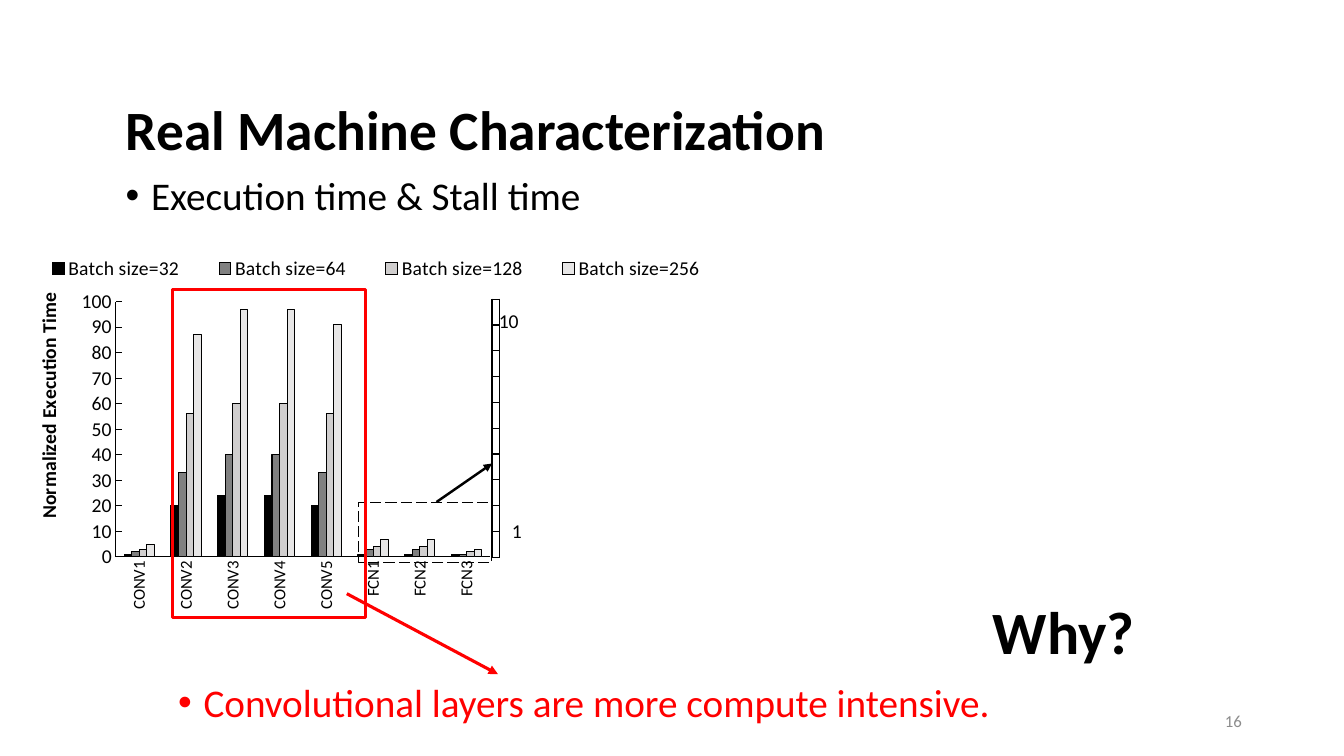
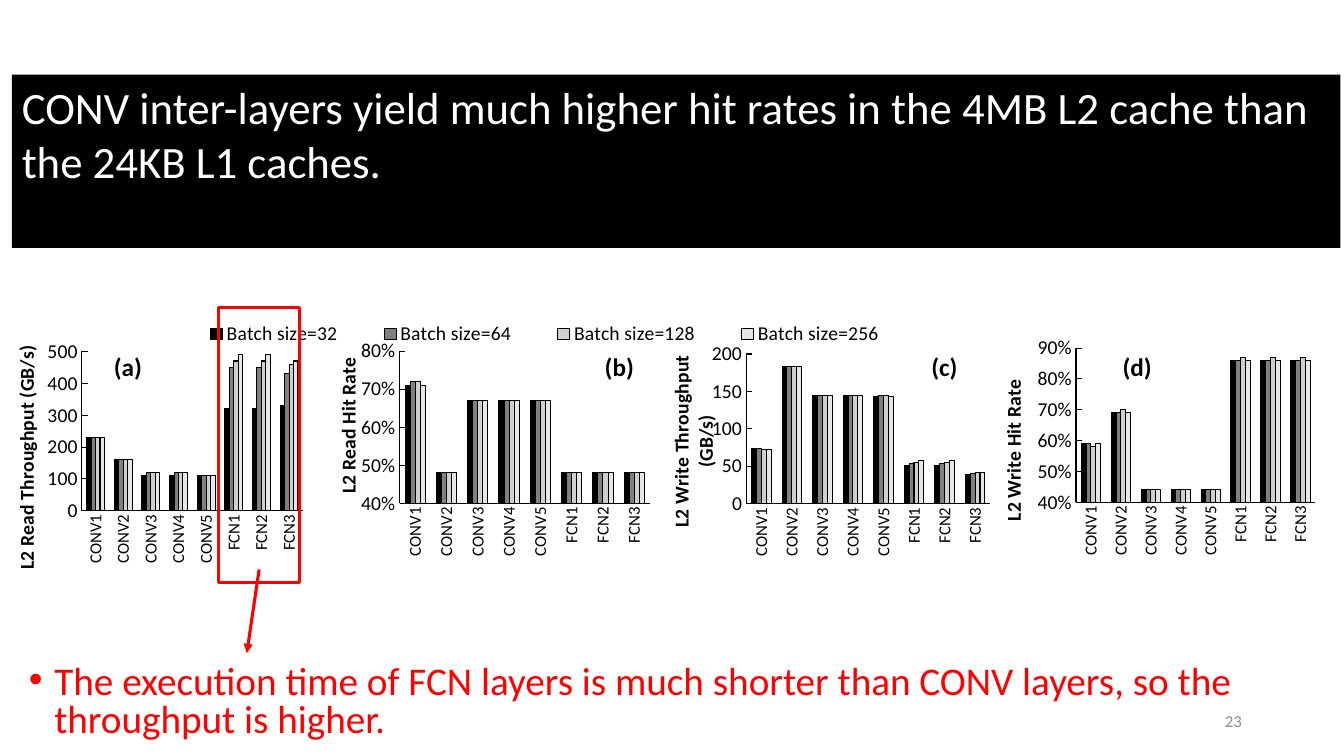
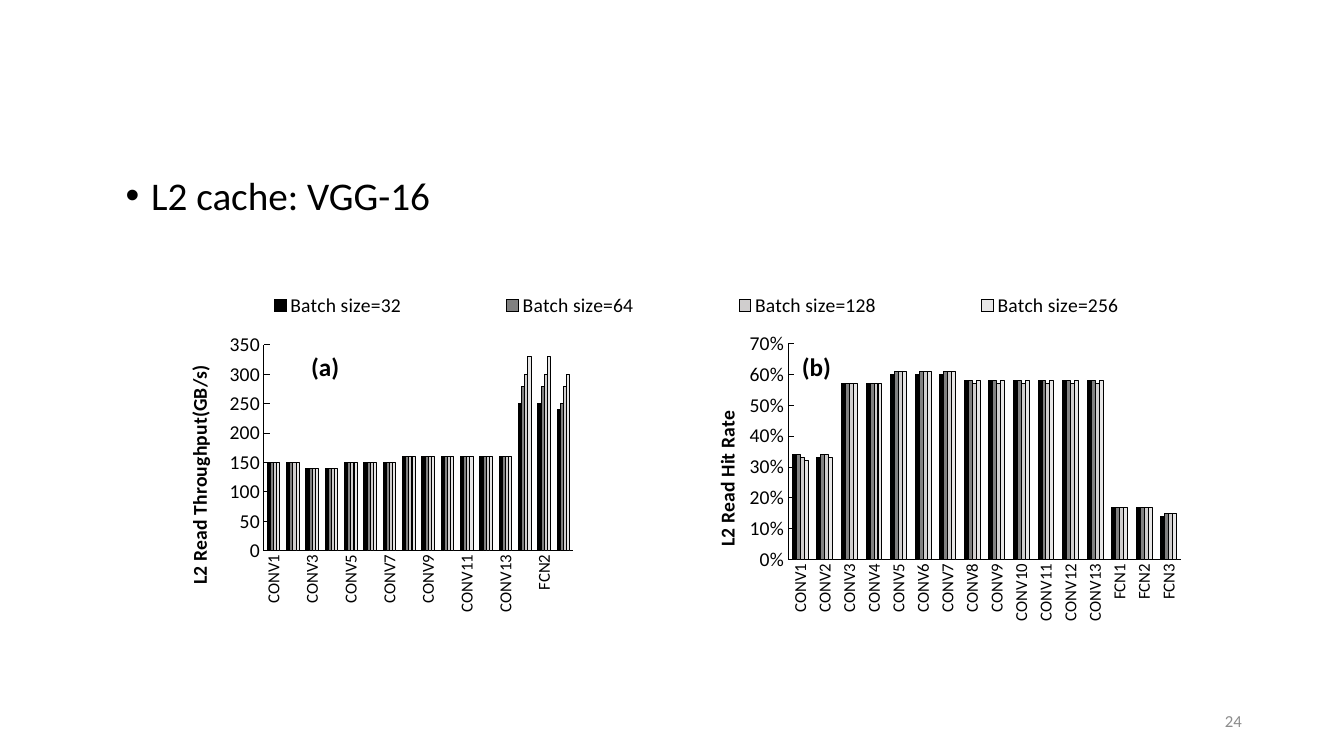
import pptx
import pptx.chart.data
import pptx.dml.color
import pptx.enum.chart
import pptx.enum.shapes
import pptx.enum.text
import pptx.oxml
import pptx.oxml.ns
import pptx.util
from pptx.util import Cm

# Shared style
FONT = "Calibri"
BLACK, WHITE, RED, GREY = "000000", "FFFFFF", "FF0000", "8C8C8C"
SERIES_COLOURS = [BLACK, "808080", "D0CECE", "E7E6E6"]
BATCHES = ["Batch size=32", "Batch size=64", "Batch size=128", "Batch size=256"]
NAMESPACES = ('xmlns:a="http://schemas.openxmlformats.org/drawingml/2006/main" '
              'xmlns:c="http://schemas.openxmlformats.org/drawingml/2006/chart"')


def layer_names(convolutions):
    return [f"CONV{n + 1}" for n in range(convolutions)] + [f"FCN{n + 1}" for n in range(3)]


ALL_LAYERS = layer_names(5)
DEEP_LAYERS = layer_names(13)
NUMBER, PERCENT = "0", "0%"

# Charts: boxes in cm; plot, title and legend as shares of the chart
EXECUTION_CHART = dict(
    box=(0.48, 5.64, 20.68, 12.57), plot=(0.118, 0.156, 0.456, 0.512),
    title="Normalized Execution Time", title_at=(0.015, 0.13),
    scale=(0, 100, 10), format=NUMBER, legend=(0, 0.05, 0.87, 0.08), layers=ALL_LAYERS,
    rows=[[1, 20, 24, 24, 20, 1, 1, 1],
          [2, 33, 40, 40, 33, 3, 3, 1],
          [3, 56, 60, 60, 56, 4, 4, 2],
          [5, 87, 97, 97, 91, 7, 7, 3]])

CACHE_CHARTS = [
    dict(box=(-1.22, 7.24, 29.03, 9.8), plot=(0.113, 0.165, 0.192, 0.41),
         title="L2 Read Throughput (GB/s)", title_at=(0.05, 0.14),
         scale=(0, 500, 100), format=NUMBER, legend=(0.19, 0.07, 0.65, 0.1), layers=ALL_LAYERS,
         rows=[[230, 160, 110, 110, 110, 320, 320, 330],
               [230, 160, 120, 120, 110, 450, 450, 430],
               [230, 160, 120, 120, 110, 470, 470, 460],
               [230, 160, 120, 120, 110, 490, 490, 470]]),
    dict(box=(8, 7.85, 15.32, 7.62), plot=(0.135, 0.131, 0.412, 0.504),
         title="L2 Read Hit Rate", title_at=(0.022, 0.14),
         scale=(0.4, 0.8, 0.1), format=PERCENT, legend=None, layers=ALL_LAYERS,
         rows=[[0.71, 0.48, 0.67, 0.67, 0.67, 0.48, 0.48, 0.48],
               [0.72, 0.48, 0.67, 0.67, 0.67, 0.48, 0.48, 0.48],
               [0.72, 0.48, 0.67, 0.67, 0.67, 0.48, 0.48, 0.48],
               [0.71, 0.48, 0.67, 0.67, 0.67, 0.48, 0.48, 0.48]]),
    dict(box=(16.54, 7.65, 19.18, 7.14), plot=(0.118, 0.178, 0.321, 0.528),
         title="L2 Write Throughput (GB/s)", title_at=(0.01, 0.17),
         scale=(0, 200, 50), format=NUMBER, legend=None, layers=ALL_LAYERS,
         rows=[[73, 183, 144, 144, 143, 51, 51, 39],
               [73, 183, 145, 145, 144, 53, 53, 40],
               [72, 183, 145, 145, 144, 55, 55, 41],
               [72, 183, 145, 145, 143, 57, 57, 42]]),
    dict(box=(24.79, 6.78, 15.72, 10.01), plot=(0.148, 0.199, 0.384, 0.388),
         title="L2 Write Hit Rate", title_at=(0.02, 0.27),
         scale=(0.4, 0.9, 0.1), format=PERCENT, legend=None, layers=ALL_LAYERS,
         rows=[[0.59, 0.69, 0.44, 0.44, 0.44, 0.86, 0.86, 0.86],
               [0.59, 0.69, 0.44, 0.44, 0.44, 0.86, 0.86, 0.86],
               [0.58, 0.7, 0.44, 0.44, 0.44, 0.87, 0.87, 0.87],
               [0.59, 0.69, 0.44, 0.44, 0.44, 0.86, 0.86, 0.86]]),
]


def deep_row(conv1, conv2, conv3_4, conv5_7, conv8_13, fcn1_2, fcn3):
    return ([conv1, conv2] + [conv3_4] * 2 + [conv5_7] * 3 + [conv8_13] * 6
            + [fcn1_2] * 2 + [fcn3])


DEEP_CHARTS = [
    dict(box=(17.32, 8.2, 12.7, 7.62), plot=(0.2, 0.06, 0.78, 0.715),
         title="L2 Read Hit Rate", title_at=(0.045, 0.27),
         scale=(0, 0.7, 0.1), format=PERCENT, legend=None, layers=DEEP_LAYERS,
         rows=[deep_row(0.34, 0.33, 0.57, 0.6, 0.58, 0.17, 0.14),
               deep_row(0.34, 0.34, 0.57, 0.61, 0.58, 0.17, 0.15),
               deep_row(0.33, 0.34, 0.57, 0.61, 0.57, 0.17, 0.15),
               deep_row(0.32, 0.33, 0.57, 0.61, 0.58, 0.17, 0.15)]),
    dict(box=(4.42, 7.32, 28.24, 8.33), plot=(0.079, 0.165, 0.276, 0.622),
         title="L2 Read Throughput(GB/s)", title_at=(0.006, 0.215),
         scale=(0, 350, 50), format=NUMBER, legend=(0, 0, 0.93, 0.09), layers=DEEP_LAYERS,
         rows=[deep_row(150, 150, 140, 150, 160, fcn1_2, fcn3)
               for fcn1_2, fcn3 in [(250, 240), (280, 250), (300, 280), (330, 300)]]),
]

CACHE_LABELS = [("(a)", 2.62), ("(b)", 14.99), ("(c)", 23.22), ("(d)", 28.04)]
DEEP_LABELS = [("(a)", 7.59), ("(b)", 19.96)]
HEADING_BULLET = (2.92, 4.32, 30.18, 2.18)


# Helpers
def colour(value):
    return pptx.dml.color.RGBColor.from_string(value)


def xml(markup):
    tag_end = min(markup.index(mark) for mark in " />" if mark in markup)
    return pptx.oxml.parse_xml(f"{markup[:tag_end]} {NAMESPACES}{markup[tag_end:]}")


def style_font(font, size, value=BLACK, bold=False):
    font.name, font.size, font.bold = FONT, pptx.util.Pt(size), bold
    font.color.rgb = colour(value)


def style_line(line, value=BLACK, width=0.75):
    line.color.rgb = colour(value)
    line.width = pptx.util.Pt(width)


def write(shape, text, size, value=BLACK, bold=False, spacing=None, bullet=False,
          middle=False, align="LEFT"):
    frame = shape.text_frame
    frame.word_wrap = True
    anchors = pptx.enum.text.MSO_ANCHOR
    frame.vertical_anchor = anchors.MIDDLE if middle else anchors.TOP
    frame.text = text
    paragraph = frame.paragraphs[0]
    paragraph.alignment = getattr(pptx.enum.text.PP_ALIGN, align)
    if spacing:
        paragraph.line_spacing = spacing
    style_font(paragraph.runs[0].font, size, value, bold)
    if bullet:
        paragraph.space_before = pptx.util.Pt(10)
        properties = paragraph._p.get_or_add_pPr()
        properties.set("marL", str(Cm(0.64)))
        properties.set("indent", str(-Cm(0.64)))
        properties.append(xml('<a:buFont typeface="Arial"/>'))
        properties.append(xml('<a:buChar char="•"/>'))


def add_text(slide, box, text, size, **style):
    write(slide.shapes.add_textbox(*map(Cm, box)), text, size, **style)


def add_bullet(slide, box, text, value=BLACK, spacing=0.9):
    add_text(slide, box, text, 28, value=value, spacing=spacing, bullet=True)


def add_labels(slide, labels):
    for text, left in labels:
        add_text(slide, (left, 8.74, 1.6, 1.02), text, 18, bold=True)


def add_rectangle(slide, box):
    shape = slide.shapes.add_shape(pptx.enum.shapes.MSO_SHAPE.RECTANGLE, *map(Cm, box))
    shape.shadow.inherit = False
    return shape


def add_frame(slide, box, value=RED, width=2.25):
    shape = add_rectangle(slide, box)
    shape.fill.background()
    style_line(shape.line, value, width)
    return shape


def add_arrow(slide, start, end, value=RED, width=2.25):
    arrow = slide.shapes.add_connector(pptx.enum.shapes.MSO_CONNECTOR.STRAIGHT,
                                       *map(Cm, start + end))
    style_line(arrow.line, value, width)
    arrow.line._get_or_add_ln().append(xml('<a:tailEnd type="triangle"/>'))
    arrow._element.spPr.append(xml("<a:effectLst/>"))


def chart_layout(place, inner=False):
    target = '<c:layoutTarget val="inner"/>' if inner else ""
    modes = '<c:xMode val="edge"/><c:yMode val="edge"/>'
    values = "".join(f'<c:{name} val="{share}"/>' for name, share in zip("xywh", place))
    return xml(f"<c:layout><c:manualLayout>{target}{modes}{values}"
               "</c:manualLayout></c:layout>")


def place_part(part, layout, after=None):
    for old in part.findall(pptx.oxml.ns.qn("c:layout")):
        part.remove(old)
    if after is None:
        part.insert(0, layout)
    else:
        part.find(pptx.oxml.ns.qn(after)).addnext(layout)


def add_chart(slide, content):
    enums = pptx.enum.chart
    data = pptx.chart.data.CategoryChartData(number_format=content["format"])
    data.categories = content["layers"]
    for name, row in zip(BATCHES, content["rows"]):
        data.add_series(name, row)
    chart = slide.shapes.add_chart(enums.XL_CHART_TYPE.COLUMN_CLUSTERED,
                                   *map(Cm, content["box"]), data).chart
    style_font(chart.font, 10)
    chart.has_title = False

    # Columns
    plot = chart.plots[0]
    plot.gap_width, plot.overlap, plot.vary_by_categories = 219, 0, False
    for series, fill in zip(plot.series, SERIES_COLOURS):
        series.format.fill.solid()
        series.format.fill.fore_color.rgb = colour(fill)
        style_line(series.format.line)

    # Axes
    layer_axis, value_axis = chart.category_axis, chart.value_axis
    for axis, size in [(layer_axis, 12), (value_axis, 14)]:
        axis.has_major_gridlines = False
        axis.minor_tick_mark = enums.XL_TICK_MARK.NONE
        style_font(axis.tick_labels.font, size)
        style_line(axis.format.line)
    layer_axis.major_tick_mark = enums.XL_TICK_MARK.NONE
    layer_axis._element.txPr.bodyPr.set("rot", "-5400000")
    layer_axis._element.txPr.bodyPr.set("vert", "horz")
    value_axis.major_tick_mark = enums.XL_TICK_MARK.INSIDE
    value_axis.minimum_scale, value_axis.maximum_scale, value_axis.major_unit = content["scale"]
    value_axis.tick_labels.number_format = content["format"]
    value_axis.tick_labels.number_format_is_linked = False
    title = value_axis.axis_title
    title.text_frame.text = content["title"]
    style_font(title.text_frame.paragraphs[0].runs[0].font, 14, bold=True)
    title.text_frame._txBody.bodyPr.set("rot", "-5400000")
    title.text_frame._txBody.bodyPr.set("vert", "horz")
    place_part(title._element, chart_layout(content["title_at"]), "c:tx")

    # Legend, plot area and clear background
    chart.has_legend = content["legend"] is not None
    if chart.has_legend:
        chart.legend.position = enums.XL_LEGEND_POSITION.TOP
        chart.legend.include_in_layout = False
        style_font(chart.legend.font, 14)
        place_part(chart.legend._element, chart_layout(content["legend"]), "c:legendPos")
    root = chart._chartSpace
    place_part(root.chart.plotArea, chart_layout(content["plot"], inner=True))
    clear = "<c:spPr><a:noFill/><a:ln><a:noFill/></a:ln></c:spPr>"
    root.chart.plotArea.append(xml(clear))
    root.chart.addnext(xml(clear))


def add_scale_table(slide):
    rows, row_height = 10, 0.65
    table = slide.shapes.add_table(rows, 1, Cm(12.4), Cm(7.54), Cm(0.18),
                                   Cm(rows * row_height)).table
    table.first_row = table.horz_banding = False
    for row in table.rows:
        row.height = Cm(row_height)
        cell = row.cells[0]
        cell.margin_left = cell.margin_right = cell.margin_top = cell.margin_bottom = 0
        cell.text_frame.paragraphs[0]._p.append(xml('<a:endParaRPr sz="800"/>'))
        properties = cell._tc.get_or_add_tcPr()
        for side in "LRTB":
            properties.append(xml(f'<a:ln{side} w="12700"><a:solidFill><a:srgbClr val="{BLACK}"/>'
                                  f"</a:solidFill></a:ln{side}>"))
        cell.fill.background()


def add_slide(presentation, number):
    slide = presentation.slides.add_slide(presentation.slide_layouts[6])
    add_text(slide, (23.93, 17.65, 7.62, 1.02), number, 12, value=GREY,
             middle=True, align="RIGHT")
    return slide


# Slides
def build_execution(presentation):
    slide = add_slide(presentation, "16")
    add_text(slide, (2.92, 2.29, 18.69, 2.08), "Real Machine Characterization", 39.6,
             bold=True, spacing=0.9, middle=True)
    add_bullet(slide, HEADING_BULLET, "Execution time & Stall time")
    add_chart(slide, EXECUTION_CHART)
    add_scale_table(slide)
    zoomed = add_frame(slide, (9.04, 12.67, 3.35, 1.5), BLACK, 1)
    zoomed.line.dash_style = pptx.enum.dml.MSO_LINE.LONG_DASH
    add_arrow(slide, (11, 12.65), (12.4, 11.68), BLACK, 1.75)
    for text, left, top in [("10", 12.32, 7.65), ("1", 12.65, 12.95)]:
        add_text(slide, (left, top, 1.68, 0.86), text, 14)
    add_frame(slide, (4.34, 7.29, 4.88, 8.28))
    add_arrow(slide, (8.74, 14.96), (12.55, 16.99))
    add_bullet(slide, (4.24, 17.09, 28, 2.18),
               "Convolutional layers are more compute intensive.", RED)
    add_text(slide, (24.77, 14.96, 6.78, 2.08), "Why?", 42.9,
             bold=True, spacing=0.9, middle=True)


def build_cache(presentation):
    slide = add_slide(presentation, "23")
    for content in CACHE_CHARTS:
        add_chart(slide, content)
    add_labels(slide, CACHE_LABELS)
    add_bullet(slide, (0.48, 16.64, 32.99, 2.18),
               "The execution time of FCN layers is much shorter than CONV layers, "
               "so the throughput is higher.", RED, 0.8)
    add_frame(slide, (5.51, 7.75, 2.03, 6.93))
    add_arrow(slide, (6.53, 14.35), (6.22, 16.46))
    band = add_rectangle(slide, (0.3, 1.88, 33.48, 4.37))
    band.fill.solid()
    band.fill.fore_color.rgb = colour(BLACK)
    band.line.fill.background()
    write(band, "CONV inter-layers yield much higher hit rates in the 4MB L2 cache "
                "than the 24KB L1 caches.", 32, value=WHITE)


def build_deep_cache(presentation):
    slide = add_slide(presentation, "24")
    for content in DEEP_CHARTS:
        add_chart(slide, content)
    add_labels(slide, DEEP_LABELS)
    add_bullet(slide, HEADING_BULLET, "L2 cache: VGG-16")


def main():
    presentation = pptx.Presentation()
    presentation.slide_width, presentation.slide_height = Cm(33.87), Cm(19.05)
    for build in (build_execution, build_cache, build_deep_cache):
        build(presentation)
    presentation.save("out.pptx")


if __name__ == "__main__":
    main()
